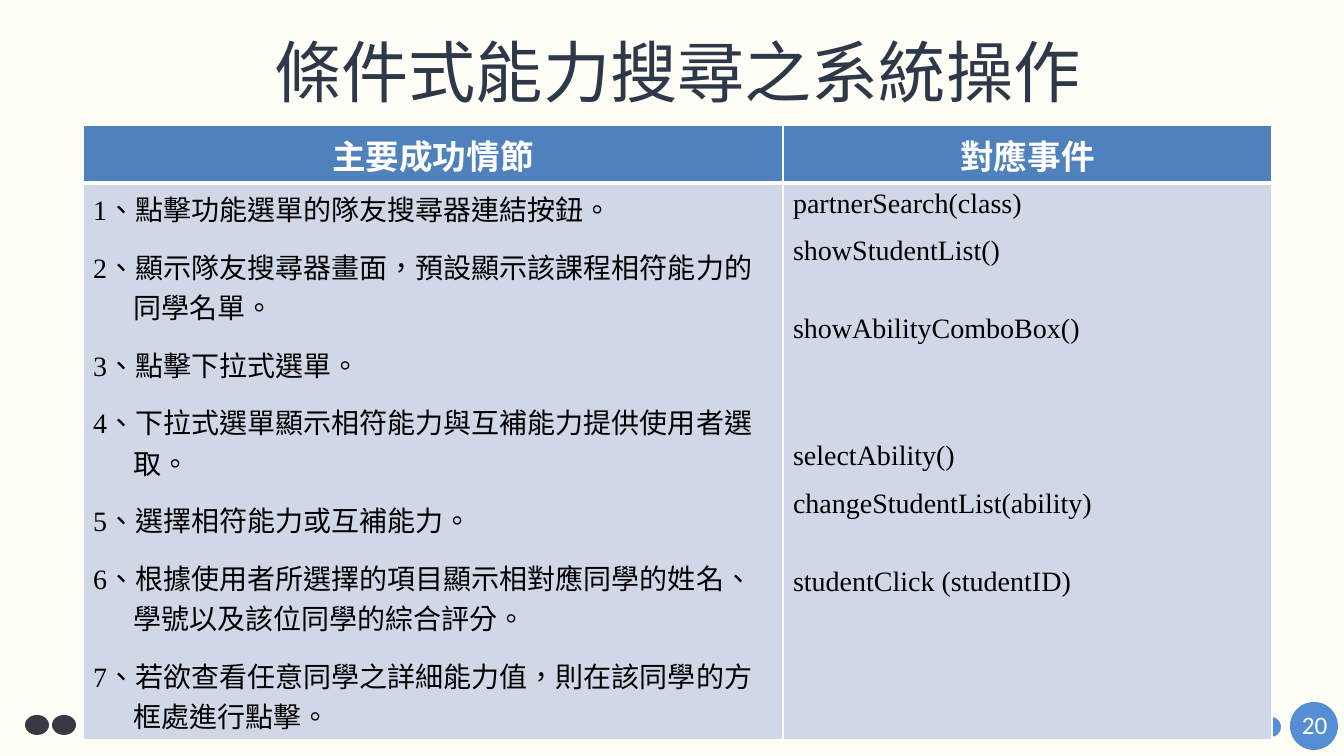
from dataclasses import dataclass

from lxml.etree import SubElement
from pptx import Presentation
from pptx.dml.color import RGBColor
from pptx.enum.lang import MSO_LANGUAGE_ID as Language
from pptx.enum.shapes import MSO_SHAPE as Preset
from pptx.enum.text import MSO_ANCHOR as Anchor, PP_ALIGN as Align
from pptx.oxml.ns import qn
from pptx.util import Pt

PX = 914400 / 100.8


@dataclass(frozen=True)
class Theme:
    page: str = "FFFEF6"
    title: str = "2D3848"
    blue: str = "558ED5"
    dark: str = "3D3743"
    header: str = "4F81BD"
    body: str = "D0D8E8"
    white: str = "FFFFFF"
    black: str = "000000"
    cjk_font: str = "Noto Sans CJK SC"
    table_font: str = "Times New Roman"
    number_font: str = "Calibri"
    title_size: int = 48
    header_size: int = 24
    body_size: int = 20
    number_size: int = 18


theme = Theme()


def px(*lengths):
    return [round(length * PX) for length in lengths]


def write(paragraph, text, face, size, color, bold=False):
    paragraph.text = text
    font = paragraph.font
    font.name, font.size, font.bold = face, Pt(size), bold
    font.color.rgb = RGBColor.from_string(color)
    font.language_id = Language.TRADITIONAL_CHINESE
    properties = paragraph._p.pPr.find(qn("a:defRPr"))
    SubElement(properties, qn("a:ea"), typeface=theme.cjk_font)


presentation = Presentation()
presentation.slide_width, presentation.slide_height = px(1344, 756)
slide = presentation.slides.add_slide(presentation.slide_layouts[6])
slide.background.fill.solid()
slide.background.fill.fore_color.rgb = RGBColor.from_string(theme.page)

# Footer dots
dots = [
    (1290, 702, 48, 48, theme.blue),
    (1261, 717, 20, 20, theme.blue),
    (25, 715, 24, 20, theme.dark),
    (52, 715, 24, 20, theme.dark),
]
for *place, color in dots:
    dot = slide.shapes.add_shape(Preset.OVAL, *px(*place))
    dot.shadow.inherit = False
    dot.fill.solid()
    dot.fill.fore_color.rgb = RGBColor.from_string(color)
    dot.line.fill.background()

# Title and page number
labels = [
    ((207, 18, 941, 106), "條件式能力搜尋之系統操作", theme.cjk_font,
     theme.title_size, theme.title, Align.CENTER, True),
    ((1292, 704, 46, 40), "20", theme.number_font,
     theme.number_size, theme.white, Align.LEFT, False),
]
for place, text, face, size, color, align, wrap in labels:
    frame = slide.shapes.add_textbox(*px(*place)).text_frame
    frame.word_wrap = wrap
    frame.vertical_anchor = Anchor.MIDDLE if wrap else Anchor.TOP
    write(frame.paragraphs[0], text, face, size, color)
    frame.paragraphs[0].alignment = align

# Table: each body line has its text, hanging indent and space before
HANG = 40
steps = [
    ("1、點擊功能選單的隊友搜尋器連結按鈕。", 0, 0),
    ("2、顯示隊友搜尋器畫面，預設顯示該課程相符能力的同學名單。", HANG, 12),
    ("3、點擊下拉式選單。", 0, 12),
    ("4、下拉式選單顯示相符能力與互補能力提供使用者選取。", HANG, 12),
    ("5、選擇相符能力或互補能力。", 0, 12),
    ("6、根據使用者所選擇的項目顯示相對應同學的姓名、學號以及該位同學的綜合評分。", HANG, 12),
    ("7、若欲查看任意同學之詳細能力值，則在該同學的方框處進行點擊。", HANG, 12),
]
events = [
    ("partnerSearch(class)", 0, 0),
    ("showStudentList()", 0, 12),
    ("showAbilityComboBox()", 0, 33.5),
    ("selectAbility()", 0, 68),
    ("changeStudentList(ability)", 0, 12),
    ("studentClick (studentID)", 0, 33.5),
]
rows = [
    [[("主要成功情節", 0, 0)], [("對應事件", 0, 0)]],
    [steps, events],
]
row_styles = [
    (theme.header, theme.header_size, theme.white, True, Align.CENTER,
     {"L": 1, "R": 1, "T": 1, "B": 3}),
    (theme.body, theme.body_size, theme.black, False, Align.LEFT,
     {"L": 1, "R": 1, "T": 3, "B": 1}),
]
table = slide.shapes.add_table(2, 2, *px(83, 125, 1189, 615)).table
table.horz_banding = False
for column, width in zip(table.columns, px(700, 489)):
    column.width = width
for row, height in zip(table.rows, px(58, 557)):
    row.height = height

for row, contents, style in zip(table.rows, rows, row_styles):
    fill, size, color, bold, align, borders = style
    for cell, lines in zip(row.cells, contents):
        # Borders come before the fill in the cell properties
        properties = cell._tc.get_or_add_tcPr()
        for side, width in borders.items():
            border = SubElement(properties, qn(f"a:ln{side}"), w=str(Pt(width)))
            SubElement(SubElement(border, qn("a:solidFill")),
                       qn("a:srgbClr"), val=theme.white)
        cell.fill.solid()
        cell.fill.fore_color.rgb = RGBColor.from_string(fill)

        frame = cell.text_frame
        for index, (text, hang, space) in enumerate(lines):
            paragraph = frame.add_paragraph() if index else frame.paragraphs[0]
            write(paragraph, text, theme.table_font, size, color, bold)
            paragraph.alignment = align
            if space:
                paragraph.space_before = Pt(space)
            if hang:
                indent, = px(hang)
                paragraph._p.pPr.set("marL", str(indent))
                paragraph._p.pPr.set("indent", str(-indent))

presentation.save("out.pptx")
